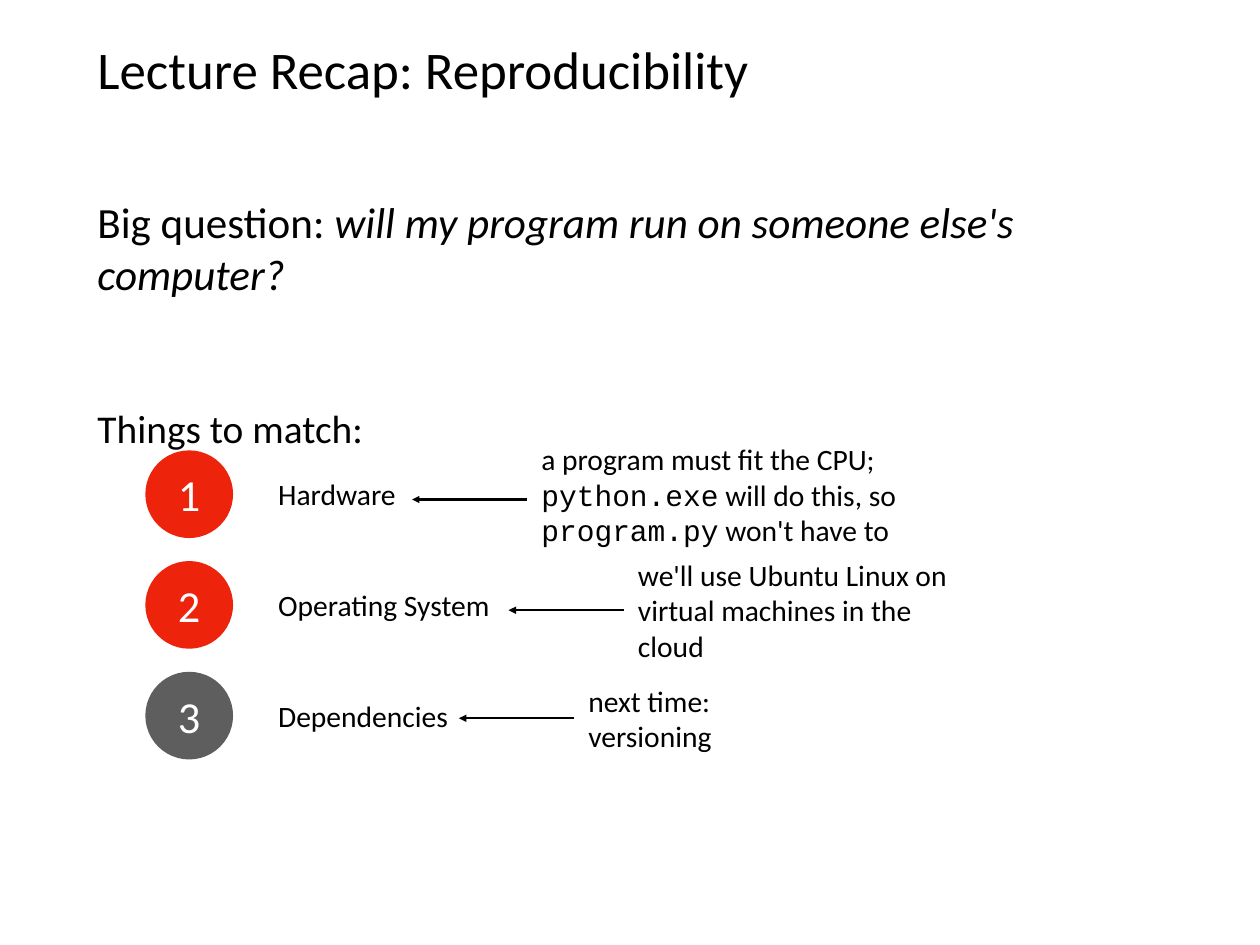
from lxml import etree
from pptx import Presentation
from pptx.dml.color import RGBColor
from pptx.enum.shapes import MSO_CONNECTOR, MSO_SHAPE
from pptx.enum.text import MSO_ANCHOR, MSO_AUTO_SIZE, PP_ALIGN
from pptx.oxml.ns import qn
from pptx.util import Inches, Pt

STRAIGHT = MSO_CONNECTOR.STRAIGHT
OVAL = MSO_SHAPE.OVAL
TOP, MIDDLE = MSO_ANCHOR.TOP, MSO_ANCHOR.MIDDLE
NO_AUTOFIT = MSO_AUTO_SIZE.NONE
LEFT, CENTER = PP_ALIGN.LEFT, PP_ALIGN.CENTER
SANS, MONO = "Calibri", "Courier New"
BLACK, WHITE, RED, GRAY = "000000", "FFFFFF", "EE230C", "5E5E5E"
INSET = Inches(0.06)


def color(hex_code):
    return RGBColor.from_string(hex_code)


def write(shape, paragraphs, size, ink=BLACK, anchor=MIDDLE, align=LEFT, wrap=True):
    frame = shape.text_frame
    frame_format = {
        "auto_size": NO_AUTOFIT, "word_wrap": wrap, "vertical_anchor": anchor,
        "margin_left": INSET, "margin_right": INSET,
        "margin_top": INSET, "margin_bottom": INSET,
    }
    for name, value in frame_format.items():
        setattr(frame, name, value)
    for index, runs in enumerate(paragraphs):
        paragraph = frame.add_paragraph() if index else frame.paragraphs[0]
        paragraph.alignment = align
        paragraph.space_before = Pt(0)
        for text, changes in runs:
            run = paragraph.add_run()
            run.text = text
            run.font.color.rgb = color(ink)
            font_format = {"name": SANS, "size": Pt(size), **changes}
            for name, value in font_format.items():
                setattr(run.font, name, value)


presentation = Presentation()
presentation.slide_width = Inches(14.22)
presentation.slide_height = Inches(10.67)
slide = presentation.slides.add_slide(presentation.slide_layouts[1])
shapes = slide.shapes

title, body = shapes.title, slide.placeholders[1]
placeholder_places = [
    (title, (1.04, 0.28, 9.17, 0.99)),
    (body, (1.04, 2.15, 12.14, 3.19)),
]
for shape, place in placeholder_places:
    for name, value in zip(("left", "top", "width", "height"), place):
        setattr(shape, name, Inches(value))

write(title, [[("Lecture Recap: Reproducibility", {})]], 43)
question = [
    ("Big question: ", {}),
    ("will my program run on someone else's computer?", {"italic": True}),
]
write(body, [question, [("Things to match:", {"size": Pt(32)})]], 35, anchor=TOP)
for paragraph in body.text_frame.paragraphs:
    properties = paragraph._p.get_or_add_pPr()
    properties.set("marL", "0")
    properties.set("indent", "0")
    etree.SubElement(properties, qn("a:buNone"))
body.text_frame.paragraphs[1].space_before = Pt(85)

hardware_note = [
    [("a program must fit the CPU;", {})],
    [("python.exe", {"name": MONO}), (" will do this, so", {})],
    [("program.py", {"name": MONO}), (" won't have to", {})],
]
system_note = [
    [("we'll use Ubuntu Linux on", {})],
    [("virtual machines in the cloud", {})],
]
dependency_note = [[("next time: versioning", {})]]
things = [
    ("Hardware", 1.47, RED, hardware_note, (6.05, 4.92, 4.14, 1.32), 5.64),
    ("Operating System", 2.54, RED, system_note, (7.14, 6.44, 4, 0.89), 6.89),
    ("Dependencies", 2.03, GRAY, dependency_note, (6.58, 7.86, 2.92, 0.5), 8.11),
]
first_center, row_step = 5.58, 1.25
diameter, label_height = 0.99, 0.5
arrow_length, arrow_gap = 1.3, 0.1

for index, (label, label_width, fill, note, place, arrow_y) in enumerate(things):
    center = first_center + index * row_step

    circle = shapes.add_shape(OVAL, Inches(1.64), Inches(center - diameter / 2),
                              Inches(diameter), Inches(diameter))
    circle.shadow.inherit = False
    circle.fill.solid()
    circle.fill.fore_color.rgb = color(fill)
    circle.line.fill.background()
    write(circle, [[(str(index + 1), {})]], 36, ink=WHITE, align=CENTER)

    label_box = shapes.add_textbox(Inches(3.08), Inches(center - label_height / 2),
                                   Inches(label_width), Inches(label_height))
    write(label_box, [[(label, {})]], 24, wrap=False)

    note_box = shapes.add_textbox(*map(Inches, place))
    write(note_box, note, 24)

    arrow_start = place[0] - arrow_gap
    arrow = shapes.add_connector(STRAIGHT, Inches(arrow_start), Inches(arrow_y),
                                 Inches(arrow_start - arrow_length), Inches(arrow_y))
    arrow.line.color.rgb = color(BLACK)
    arrow.line.width = Pt(2)
    etree.SubElement(arrow.line._get_or_add_ln(), qn("a:tailEnd"), type="triangle")
    etree.SubElement(arrow._element.spPr, qn("a:effectLst"))

presentation.save("out.pptx")
